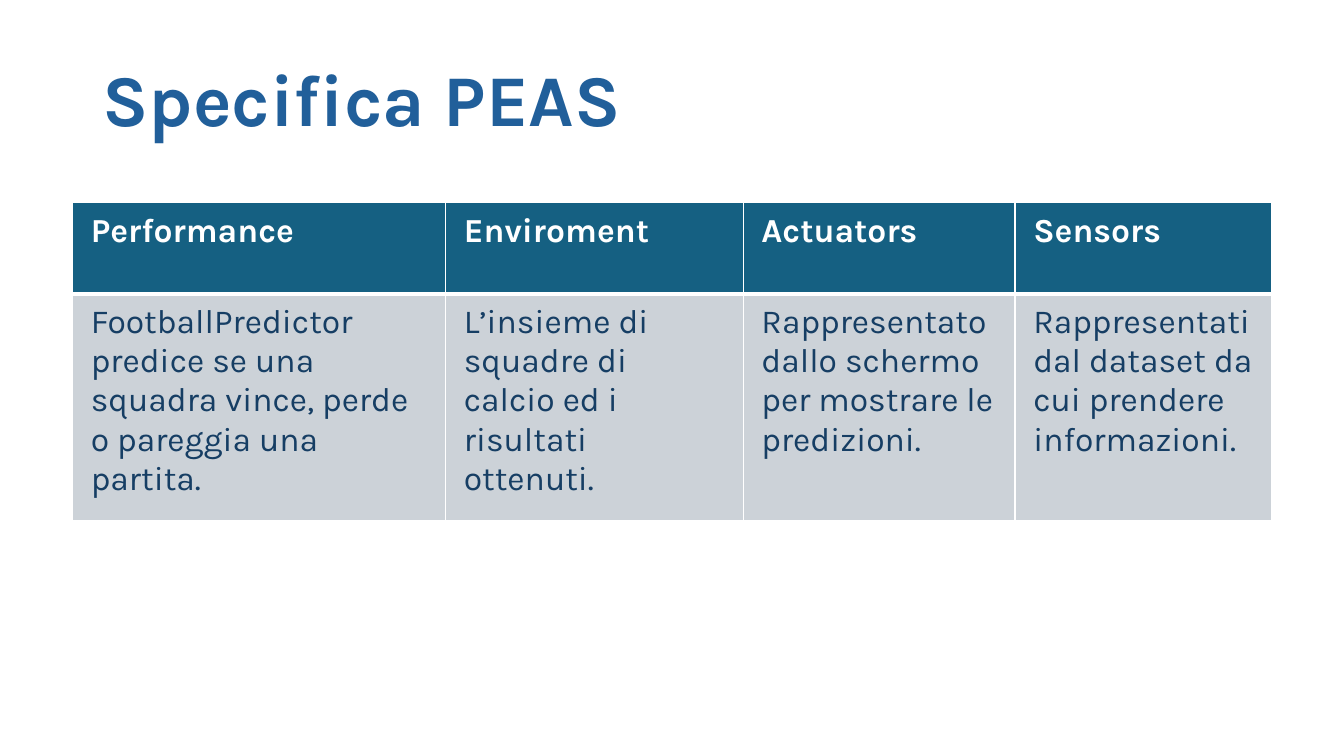
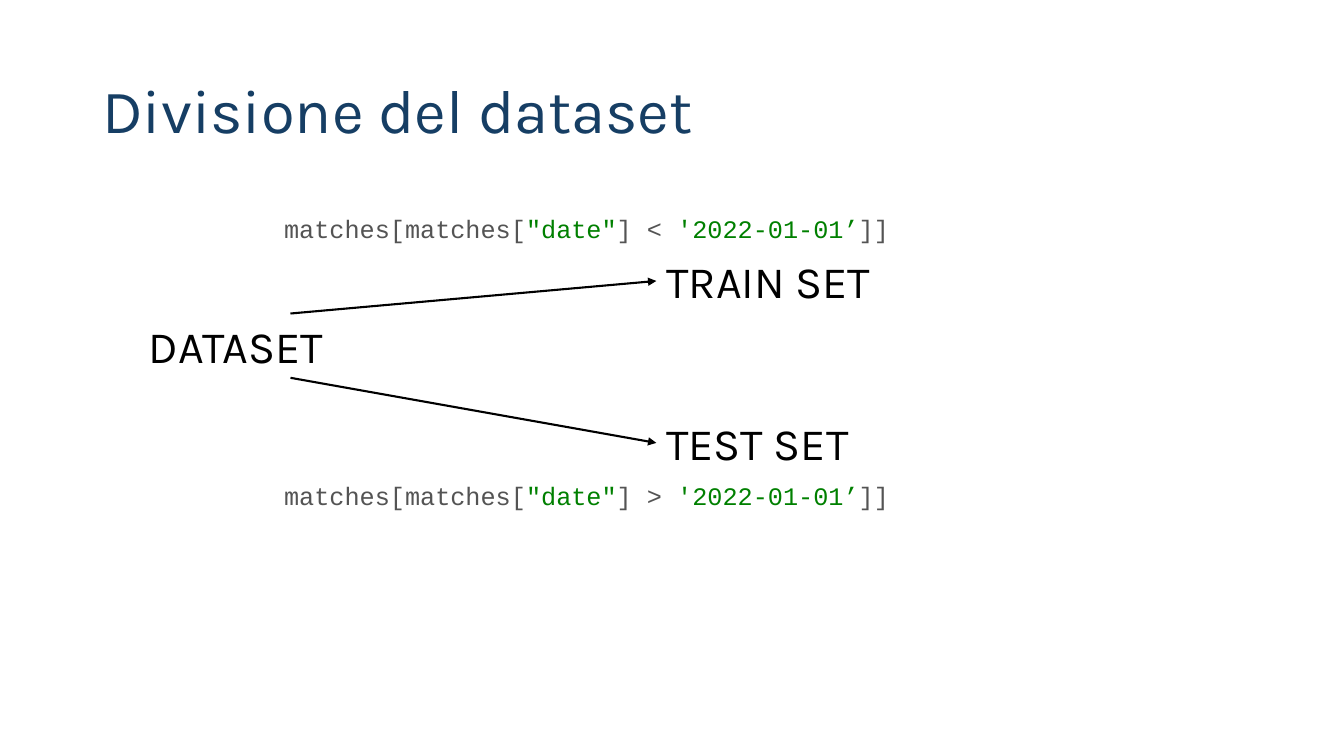
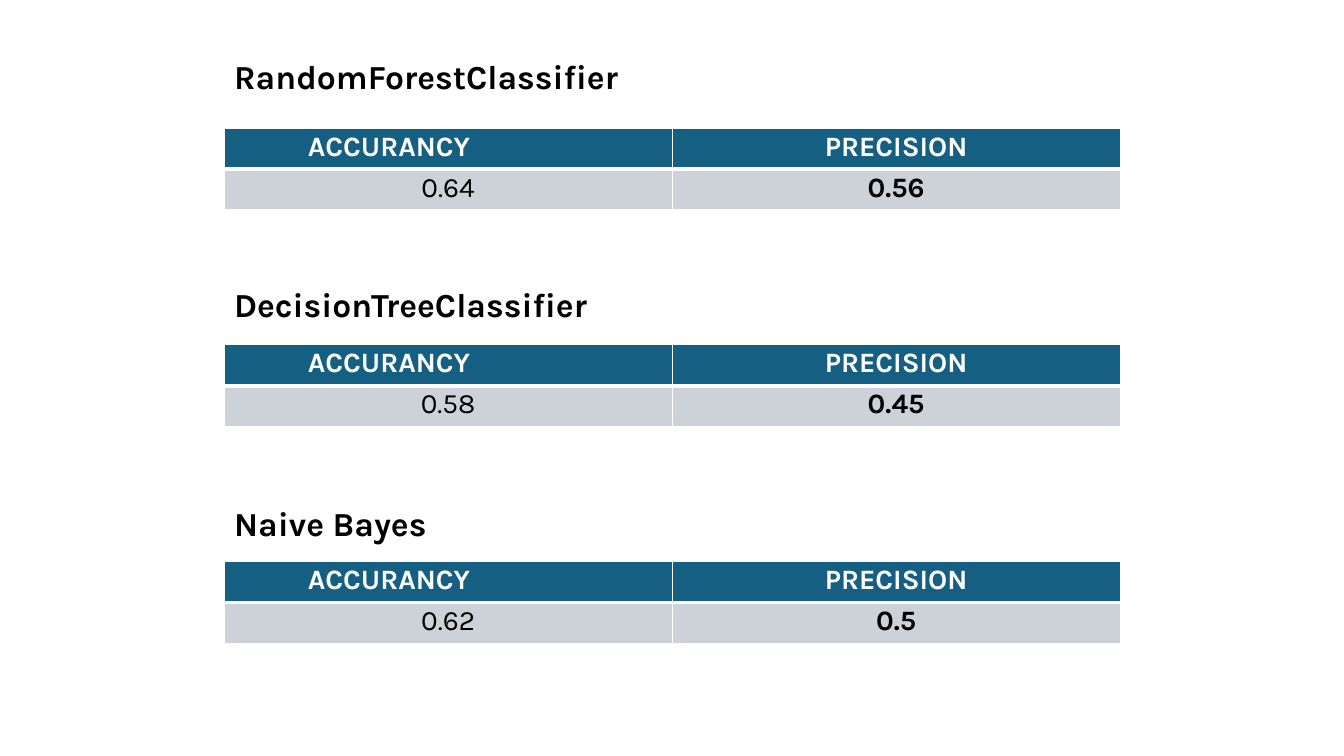
from lxml import etree
from pptx import Presentation
from pptx.dml.color import RGBColor
from pptx.enum.shapes import MSO_CONNECTOR
from pptx.enum.text import MSO_ANCHOR, PP_ALIGN
from pptx.oxml.ns import qn
from pptx.util import Cm, Pt

STRAIGHT = MSO_CONNECTOR.STRAIGHT
TOP, MIDDLE = MSO_ANCHOR.TOP, MSO_ANCHOR.MIDDLE
LEFT, CENTER = PP_ALIGN.LEFT, PP_ALIGN.CENTER

COLORS = {
    "title": "215F9A",
    "navy": "163E64",
    "header": "156082",
    "body": "CCD2D8",
    "white": "FFFFFF",
    "black": "000000",
    "code": "545454",
    "string": "008000",
}
FONT = "Karla"
CODE_FONT = "Courier New"


def write(paragraph, runs, size, bold=False, font=FONT, spacing=None):
    paragraph.line_spacing = spacing
    for text, color in runs:
        run = paragraph.add_run()
        run.text = text
        run.font.name = font
        run.font.size = Pt(size)
        run.font.bold = bold
        run.font.color.rgb = RGBColor.from_string(COLORS[color])


def add_text(slide, box, runs, size, anchor=TOP, **style):
    shape = slide.shapes.add_textbox(*[Cm(length) for length in box])
    shape.text_frame.word_wrap = True
    shape.text_frame.vertical_anchor = anchor
    write(shape.text_frame.paragraphs[0], runs, size, **style)
    return shape


presentation = Presentation()
presentation.slide_width = Cm(33.87)
presentation.slide_height = Cm(19.05)
blank = presentation.slide_layouts[6]
peas_slide, split_slide, results_slide = [
    presentation.slides.add_slide(blank) for _ in range(3)
]

add_text(peas_slide, (2.33, 0.5, 29.21, 4.2), [("Specifica PEAS", "title")], 52,
         MIDDLE, bold=True, spacing=0.9)
add_text(split_slide, (2.33, 1.01, 29.21, 3.68), [("Divisione del dataset", "navy")], 44,
         MIDDLE, spacing=0.9)

dataset, train, test = [
    add_text(split_slide, (left, top, 7.64, 1.62), [(label, "black")], 32)
    for label, left, top in [
        ("DATASET", 3.5, 7.9),
        ("TRAIN SET", 16.54, 6.27),
        ("TEST SET", 16.54, 10.35),
    ]
]

for target, side in [(train, 0), (test, 2)]:
    arrow = split_slide.shapes.add_connector(STRAIGHT, 0, 0, 0, 0)
    arrow.begin_connect(dataset, side)
    arrow.end_connect(target, 1)
    arrow.line.width = Pt(1.5)
    arrow.line.color.rgb = RGBColor.from_string(COLORS["black"])
    etree.SubElement(arrow.line._get_or_add_ln(), qn("a:tailEnd"), type="triangle")
    etree.SubElement(arrow._element.spPr, qn("a:effectLst"))

for operator, top in [("<", 5.25), (">", 11.97)]:
    add_text(split_slide, (6.91, top, 16.93, 1.03), [
        ("matches[matches[", "code"),
        ('"date"', "string"),
        (f"] {operator} ", "code"),
        ("'2022-01-01’", "string"),
        ("]]", "code"),
    ], 18, font=CODE_FONT)

tables = [{
    "slide": peas_slide,
    "left": 1.83,
    "top": 5.11,
    "widths": [9.4, 7.5, 6.85, 6.47],
    "heights": [2.29, 5.72],
    "rows": [
        ["Performance", "Enviroment", "Actuators", "Sensors"],
        [
            "FootballPredictor predice se una squadra vince, perde o pareggia una partita.",
            "L’insieme di squadre di calcio ed i risultati ottenuti.",
            "Rappresentato dallo schermo per mostrare le predizioni.",
            "Rappresentati dal dataset da cui prendere informazioni.",
        ],
    ],
    "size": 24,
    "body_color": "navy",
    "margins": (0.46, 0.23),
    "align": LEFT,
    "spacing": None,
    "bold_cells": [],
    "indents": {},
}]

results = [
    ("RandomForestClassifier", 1.22, "0.64", "0.56", 1.07),
    ("DecisionTreeClassifier", 7.04, "0.58", "0.45", None),
    ("Naive Bayes", 12.55, "0.62", "0.5", None),
]
for index, (model, label_top, accuracy, precision, spacing) in enumerate(results):
    add_text(results_slide, (5.65, label_top, 16.93, 1.28), [(model, "black")], 24,
             bold=True, spacing=spacing)
    tables.append({
        "slide": results_slide,
        "left": 5.65,
        "top": 3.23 + index * 5.46,
        "widths": [11.29, 11.29],
        "heights": [1.03, 1.03],
        "rows": [["ACCURANCY", "PRECISION"], [accuracy, precision]],
        "size": 20,
        "body_color": "black",
        "margins": (0.18, 0),
        "align": CENTER,
        "spacing": 1.07,
        "bold_cells": [(1, 1)],
        "indents": {(0, 0): 1.93},
    })

for data in tables:
    widths, heights = data["widths"], data["heights"]
    frame = data["slide"].shapes.add_table(
        len(heights), len(widths), Cm(data["left"]), Cm(data["top"]),
        Cm(sum(widths)), Cm(sum(heights)))
    table = frame.table
    for column, width in zip(table.columns, widths):
        column.width = Cm(width)
    for row, height in zip(table.rows, heights):
        row.height = Cm(height)
    for row_index, texts in enumerate(data["rows"]):
        header = row_index == 0
        borders = {"L": 1, "R": 1, "T": 1 if header else 3, "B": 3 if header else 1}
        for column_index, text in enumerate(texts):
            position = (row_index, column_index)
            cell = table.cell(*position)
            properties = cell._tc.get_or_add_tcPr()
            for side, points in borders.items():
                line = etree.SubElement(properties, qn(f"a:ln{side}"), w=str(Pt(points)))
                fill = etree.SubElement(line, qn("a:solidFill"))
                etree.SubElement(fill, qn("a:srgbClr"), val=COLORS["white"])
            cell.fill.solid()
            cell.fill.fore_color.rgb = RGBColor.from_string(
                COLORS["header" if header else "body"])
            horizontal, vertical = data["margins"]
            indent = data["indents"].get(position, 0)
            cell.margin_left = Cm(horizontal + indent)
            cell.margin_right = Cm(horizontal)
            cell.margin_top = cell.margin_bottom = Cm(vertical)
            paragraph = cell.text_frame.paragraphs[0]
            paragraph.alignment = LEFT if indent else data["align"]
            write(paragraph, [(text, "white" if header else data["body_color"])],
                  data["size"], bold=header or position in data["bold_cells"],
                  spacing=data["spacing"])

presentation.save("out.pptx")
